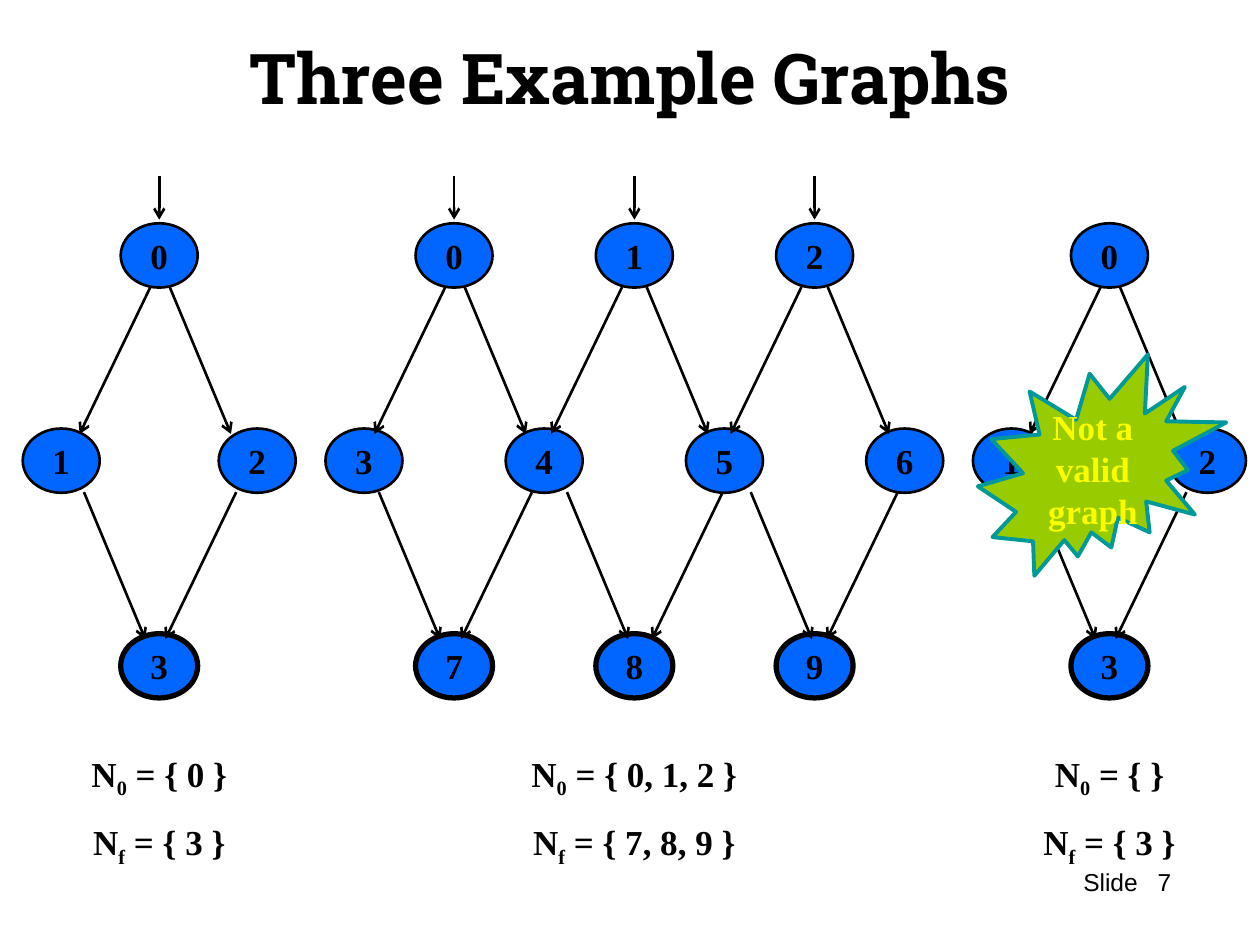
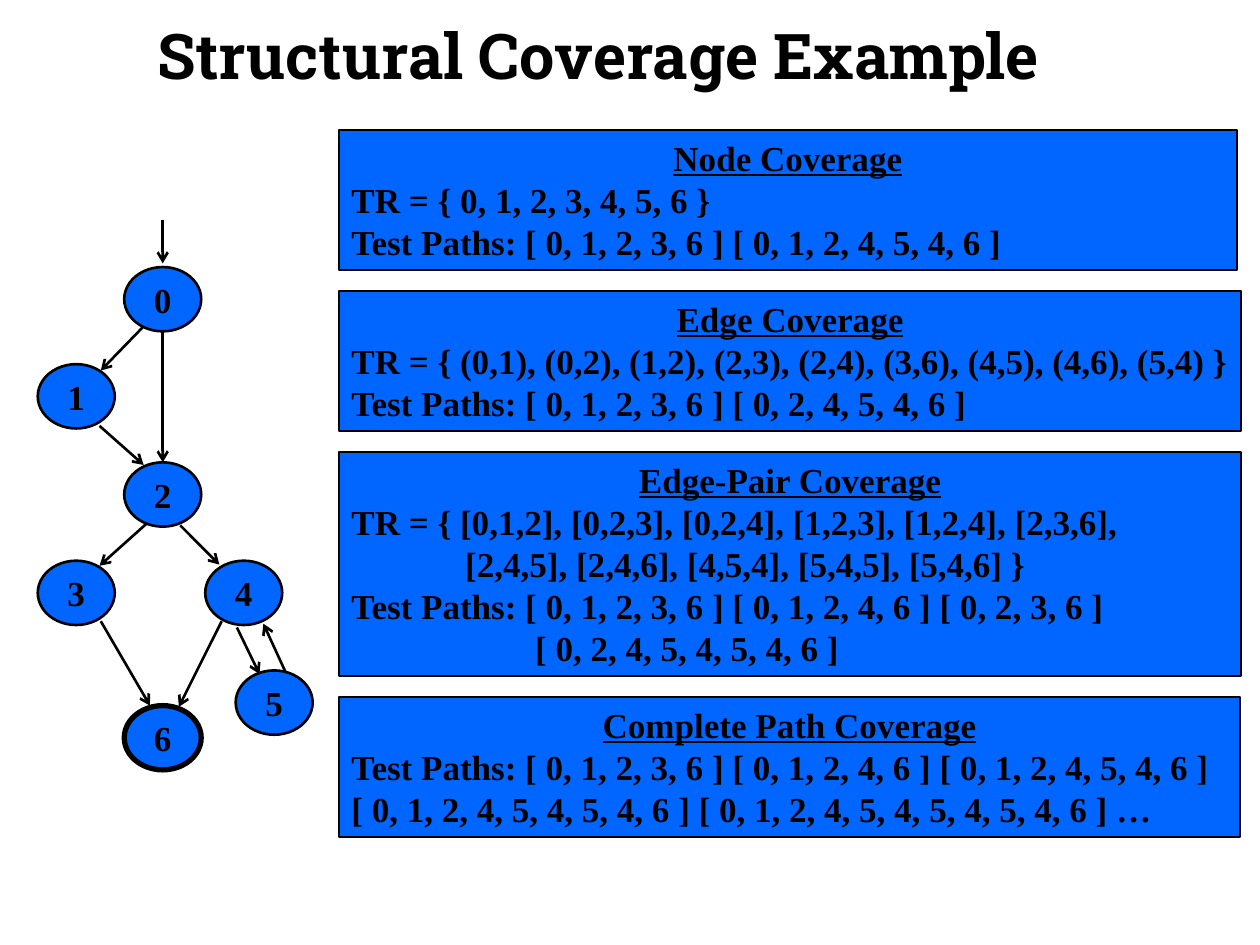
from pptx import Presentation
from pptx.dml.color import RGBColor
from pptx.enum.shapes import MSO_CONNECTOR, MSO_SHAPE
from pptx.enum.text import MSO_ANCHOR, MSO_AUTO_SIZE, PP_ALIGN
from pptx.oxml.ns import qn
from pptx.util import Pt
from lxml.etree import SubElement

# Shared look
BLACK, BLUE = "000000", "0066FF"
GREEN, TEAL, YELLOW = "99CC00", "009999", "FAFD00"
SERIF, SANS, SLAB = "Times New Roman", "Arial", "Roboto Slab"
NODE_W, NODE_H = 44, 36.75
LINE_H, BOX_GAP = 24, 12

# Slide 1: an edge is (from, to, horizontal offset of its start)
ROWS = (146, 263.25, 380.5)
DIAMOND_EDGES = [("0", "1", -5), ("1", "3", 13), ("2", "3", -12), ("0", "2", 6)]
LATTICE_EDGES = [
    ("0", "3", -5), ("0", "4", 6), ("1", "4", -7), ("1", "5", 7),
    ("2", "5", -7.5), ("2", "6", 7.5), ("3", "7", 8.5), ("4", "7", -7),
    ("4", "8", 13), ("5", "8", -1), ("5", "9", 15), ("6", "9", -4),
]

# Slide 2: node centres, and the two ends of each arrow
FLOW_NODES = {
    "0": (93, 171), "1": (43.6, 226.5), "2": (93, 282.6), "3": (43.6, 338.8),
    "4": (139.3, 338.8), "5": (156.7, 401.5), "6": (93, 421.6),
}
FLOW_ARROWS = [
    ((81.4, 187.2), (57.6, 211.7)),    # 0 to 1
    ((93, 190), (93, 264.2)),          # 0 to 2
    ((56.9, 243.4), (82.1, 265.7)),    # 1 to 2
    ((83.5, 299.5), (56.9, 323.3)),    # 2 to 3
    ((103, 300.2), (125.3, 322.6)),    # 2 to 4
    ((57.6, 355), (85.7, 403.2)),      # 3 to 6
    ((126.7, 355), (102.2, 403.9)),    # 4 to 6
    ((135.4, 358.6), (148.3, 385.2)),  # 4 to 5
    ((163.4, 384.5), (150.5, 356.4)),  # 5 to 4
]

# Coverage boxes: heading, width, lines shown, paragraphs as (text, indent)
COVERAGE = [
    ("Node Coverage", 513, 3, [
        ("TR = { 0, 1, 2, 3, 4, 5, 6 }", 0),
        ("Test Paths: [ 0, 1, 2, 3, 6 ] [ 0, 1, 2, 4, 5, 4, 6 ]", 0)]),
    ("Edge Coverage", 515.5, 3, [
        ("TR = { (0,1), (0,2), (1,2), (2,3), (2,4), (3,6), (4,5), (4,6), (5,4) }", 0),
        ("Test Paths: [ 0, 1, 2, 3, 6 ] [ 0, 2, 4, 5, 4, 6 ]", 0)]),
    ("Edge-Pair Coverage", 515.5, 5, [
        ("TR = { [0,1,2], [0,2,3], [0,2,4], [1,2,3], [1,2,4], [2,3,6],", 0),
        ("[2,4,5], [2,4,6], [4,5,4], [5,4,5], [5,4,6] }", 65),
        ("Test Paths: [ 0, 1, 2, 3, 6 ] [ 0, 1, 2, 4, 6 ] [ 0, 2, 3, 6 ]", 0),
        ("[ 0, 2, 4, 5, 4, 5, 4, 6 ]", 105)]),
    ("Complete Path Coverage", 515, 3, [
        ("Test Paths: [ 0, 1, 2, 3, 6 ] [ 0, 1, 2, 4, 6 ] [ 0, 1, 2, 4, 5, 4, 6 ] "
         "[ 0, 1, 2, 4, 5, 4, 5, 4, 6 ] [ 0, 1, 2, 4, 5, 4, 5, 4, 5, 4, 6 ] …", 0)]),
]


def rgb(color):
    return RGBColor.from_string(color)


def style(p, size=20, font=SERIF, color=BLACK, bold=True, align=PP_ALIGN.CENTER):
    p.alignment = align
    for r in p.runs:
        r.font.size, r.font.name, r.font.bold = Pt(size), font, bold
        r.font.color.rgb = rgb(color)


def add_title_slide(prs, title, size, left, top):
    s = prs.slides.add_slide(prs.slide_layouts[5])
    sp = s.shapes.title
    sp.left, sp.top, sp.width, sp.height = Pt(left), Pt(top), Pt(648), Pt(62.5)
    tf = sp.text_frame
    tf.text = title
    tf.auto_size, tf.vertical_anchor = MSO_AUTO_SIZE.NONE, MSO_ANCHOR.MIDDLE
    style(tf.paragraphs[0], size, SLAB)
    return s


def add_shape(s, kind, left, top, width, height, fill, line, weight):
    sp = s.shapes.add_shape(kind, Pt(left), Pt(top), Pt(width), Pt(height))
    sp.shadow.inherit = False
    sp.fill.solid()
    sp.fill.fore_color.rgb = rgb(fill)
    sp.line.color.rgb = rgb(line)
    sp.line.width = Pt(weight)
    return sp


def add_textbox(s, left, top, width, height):
    tf = s.shapes.add_textbox(Pt(left), Pt(top), Pt(width), Pt(height)).text_frame
    tf.word_wrap = True
    return tf


def add_arrow(s, start, end):
    x1, y1, x2, y2 = (Pt(v) for v in (*start, *end))
    line = s.shapes.add_connector(MSO_CONNECTOR.STRAIGHT, x1, y1, x2, y2)
    line.line.color.rgb = rgb(BLACK)
    line.line.width = Pt(1.5)
    SubElement(line.line._get_or_add_ln(), qn("a:tailEnd"), type="arrow")
    SubElement(line._element.spPr, qn("a:effectLst"))


def add_nodes(s, nodes, initial, final):
    """Draw numbered nodes; initial ones get an arrow, final ones a thick rim."""
    for label, (x, y) in nodes.items():
        sp = add_shape(s, MSO_SHAPE.OVAL, x - NODE_W / 2, y - NODE_H / 2,
                       NODE_W, NODE_H, BLUE, BLACK, 3 if label in final else 1.5)
        tf = sp.text_frame
        tf.margin_left = tf.margin_right = tf.margin_top = tf.margin_bottom = 0
        tf.word_wrap, tf.vertical_anchor = False, MSO_ANCHOR.MIDDLE
        tf.text = label
        style(tf.paragraphs[0])
        if label in initial:
            add_arrow(s, (x, y - 45.5), (x, y - 20.5))


def add_edges(s, nodes, edges):
    """All edges of one direction are parallel and of one length."""
    for source, target, offset in edges:
        x, y = nodes[source][0] + offset, nodes[source][1] + 18
        run = 35 if nodes[target][0] > nodes[source][0] else -40.5
        add_arrow(s, (x, y), (x + run, y + 84))


def add_node_sets(s, center, width, initial, final):
    tf = add_textbox(s, center - width / 2, 426.25, width, 67)
    for i, (sub, members) in enumerate((("0", initial), ("f", final))):
        p = tf.add_paragraph() if i else tf.paragraphs[0]
        for text in ("N", sub, f" = {{ {members} }}" if members else " = { }"):
            p.add_run().text = text
        style(p)
        p.runs[1]._r.get_or_add_rPr().set("baseline", "-25000")
        if i:
            p.space_before = Pt(12)


def add_diamond(s, x, initial):
    top, middle, bottom = ROWS
    nodes = {"0": (x, top), "1": (x - 56, middle),
             "2": (x + 56, middle), "3": (x, bottom)}
    add_nodes(s, nodes, initial, "3")
    add_edges(s, nodes, DIAMOND_EDGES)
    add_node_sets(s, x, 114.5, ", ".join(initial), "3")


def add_lattice(s, x, step):
    nodes = {}
    for labels, y in zip(("012", "3456", "789"), ROWS):
        first = x - step * (len(labels) - 1) / 2
        nodes.update({n: (first + step * i, y) for i, n in enumerate(labels)})
    add_nodes(s, nodes, "012", "789")
    add_edges(s, nodes, LATTICE_EDGES)
    add_node_sets(s, x, 177, "0, 1, 2", "7, 8, 9")


def add_callout(s, lines):
    sp = add_shape(s, MSO_SHAPE.EXPLOSION2, 558.75, 202.5, 142, 126.5, GREEN, TEAL, 2.25)
    tf = sp.text_frame
    tf.word_wrap, tf.vertical_anchor = False, MSO_ANCHOR.MIDDLE
    tf.text = "\n".join(lines)
    for p in tf.paragraphs:
        style(p, color=YELLOW)


def add_slide_number(s, number):
    tf = add_textbox(s, 36, 491.75, 647, 37.5)
    tf.margin_left = Pt(583)
    p = tf.paragraphs[0]
    p.text = f"Slide\t{number}"
    style(p, 14, SANS, bold=False, align=PP_ALIGN.LEFT)
    tabs = SubElement(p._p.get_or_add_pPr(), qn("a:tabLst"))
    SubElement(tabs, qn("a:tab"), pos=str(Pt(42.5)), algn="l")


def add_coverage_box(s, top, heading, width, line_count, body):
    height = line_count * LINE_H + 8
    sp = add_shape(s, MSO_SHAPE.RECTANGLE, 193.75, top, width, height, BLUE, BLACK, 1)
    tf = sp.text_frame
    tf.word_wrap, tf.vertical_anchor = True, MSO_ANCHOR.TOP
    tf.text = heading
    style(tf.paragraphs[0])
    tf.paragraphs[0].runs[0].font.underline = True
    for text, indent in body:
        p = tf.add_paragraph()
        p.text = text
        style(p, align=PP_ALIGN.LEFT)
        if indent:
            p._p.get_or_add_pPr().set("marL", str(Pt(indent)))
    return top + height + BOX_GAP


def main():
    prs = Presentation()
    prs.slide_width, prs.slide_height = Pt(720), Pt(540)

    # Three graphs, the last one invalid
    s = add_title_slide(prs, "Three Example Graphs", 40, 36, 12.25)
    add_slide_number(s, 7)
    add_diamond(s, 91, "0")
    add_diamond(s, 634, "")
    add_lattice(s, 362.5, 103)
    add_callout(s, ["Not a", "valid", "graph"])

    # One graph beside its coverage criteria
    s = add_title_slide(prs, "Structural Coverage Example", 36, 18, 0)
    add_nodes(s, FLOW_NODES, "0", "6")
    for start, end in FLOW_ARROWS:
        add_arrow(s, start, end)
    top = 74.25
    for box in COVERAGE:
        top = add_coverage_box(s, top, *box)

    prs.save("out.pptx")


main()
